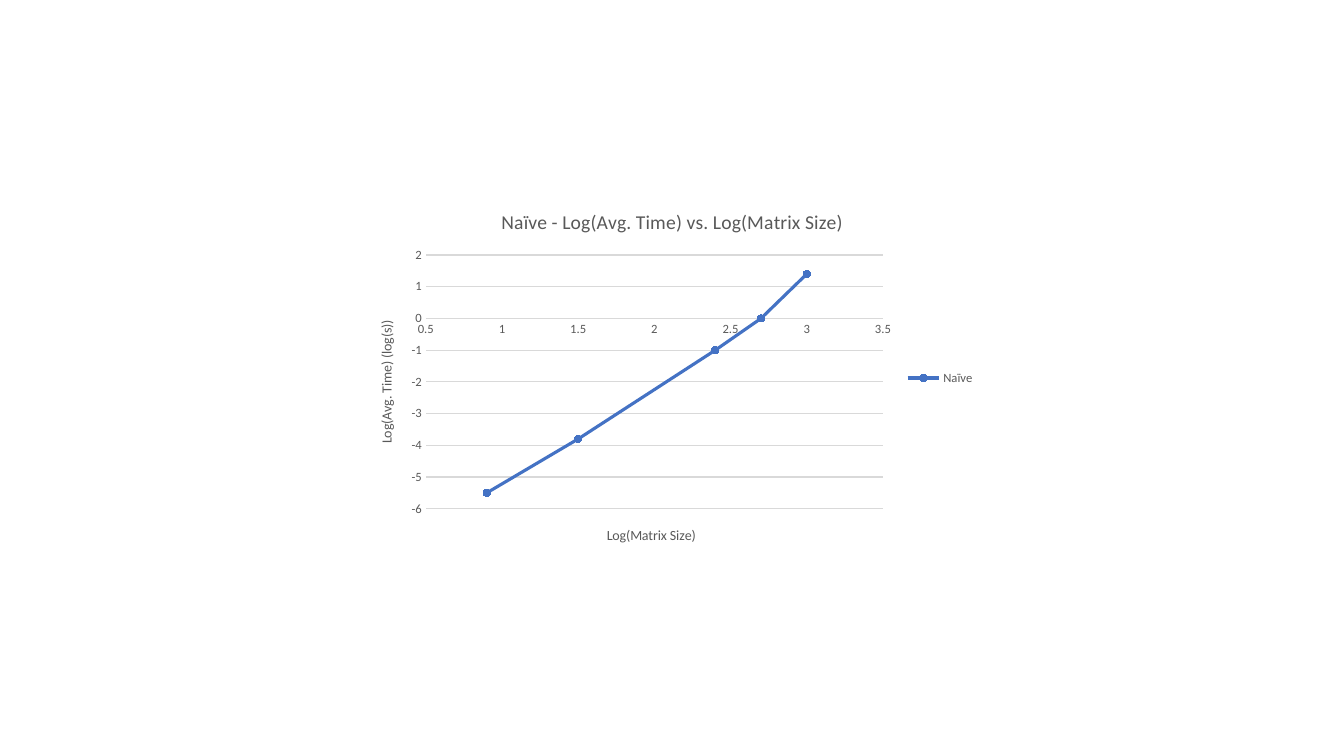
from pptx import Presentation
from pptx.chart.data import XyChartData
from pptx.dml.color import RGBColor
from pptx.enum.chart import (XL_CHART_TYPE, XL_LEGEND_POSITION, XL_MARKER_STYLE,
                             XL_TICK_MARK)
from pptx.util import Pt

BLUE = RGBColor(0x44, 0x72, 0xC4)
GRAY = RGBColor(0x59, 0x59, 0x59)
LIGHT_GRAY = RGBColor(0xD9, 0xD9, 0xD9)


class SlideBuilder:
    """Holds the chart style and the current slide."""

    font_name = "Calibri"

    def __init__(self, page):
        self.page = page

    def style_font(self, font, size):
        font.name = self.font_name
        font.size = Pt(size)
        font.bold = False
        font.color.rgb = GRAY

    def style_line(self, line, color, width):
        line.color.rgb = color
        line.width = Pt(width)

    def title(self, owner, text, size):
        span = owner.text_frame.paragraphs[0].add_run()
        span.text = text
        self.style_font(span.font, size)

    def axis(self, axis, text, minimum, maximum, step):
        axis.minimum_scale = minimum
        axis.maximum_scale = maximum
        axis.major_unit = step
        axis.major_tick_mark = XL_TICK_MARK.NONE
        axis.minor_tick_mark = XL_TICK_MARK.NONE
        axis.tick_labels.number_format = "General"
        axis.tick_labels.number_format_is_linked = False
        self.style_font(axis.tick_labels.font, 9)
        self.title(axis.axis_title, text, 10)

    def series(self, series):
        series.smooth = True
        self.style_line(series.format.line, BLUE, 2.25)
        marker = series.marker
        marker.style = XL_MARKER_STYLE.CIRCLE
        marker.size = 5
        marker.format.fill.solid()
        marker.format.fill.fore_color.rgb = BLUE
        self.style_line(marker.format.line, BLUE, 0.75)

    def legend(self, chart):
        chart.has_legend = True
        chart.legend.position = XL_LEGEND_POSITION.RIGHT
        chart.legend.include_in_layout = False
        self.style_font(chart.legend.font, 9)

    def scatter(self, name, points, left, top, width, height):
        data = XyChartData()
        values = data.add_series(name)
        for size, time in points:
            values.add_data_point(size, time)
        chart = self.page.shapes.add_chart(
            XL_CHART_TYPE.XY_SCATTER_SMOOTH,
            Pt(left), Pt(top), Pt(width), Pt(height), data).chart
        self.style_font(chart.font, 10)
        chart.plots[0].vary_by_categories = False
        self.series(chart.plots[0].series[0])
        self.legend(chart)
        return chart


deck = Presentation()
deck.slide_width, deck.slide_height = Pt(960), Pt(540)
builder = SlideBuilder(deck.slides.add_slide(deck.slide_layouts[6]))

timings = [(0.9, -5.5), (1.5, -3.8), (2.4, -1), (2.7, 0), (3, 1.4)]
chart = builder.scatter("Naïve ", timings, 254.9, 136.8, 450.7, 266.4)
builder.title(chart.chart_title, "Naïve - Log(Avg. Time) vs. Log(Matrix Size)", 14)

size_axis, time_axis = chart.category_axis, chart.value_axis
builder.axis(size_axis, "Log(Matrix Size)", 0.5, 3.5, 0.5)
builder.axis(time_axis, "Log(Avg. Time) (log(s))", -6, 2, 1)
size_axis.has_major_gridlines = False
builder.style_line(size_axis.format.line, LIGHT_GRAY, 0.75)
time_axis.has_major_gridlines = True
builder.style_line(time_axis.major_gridlines.format.line, LIGHT_GRAY, 0.75)
time_axis.format.line.fill.background()

deck.save("out.pptx")
